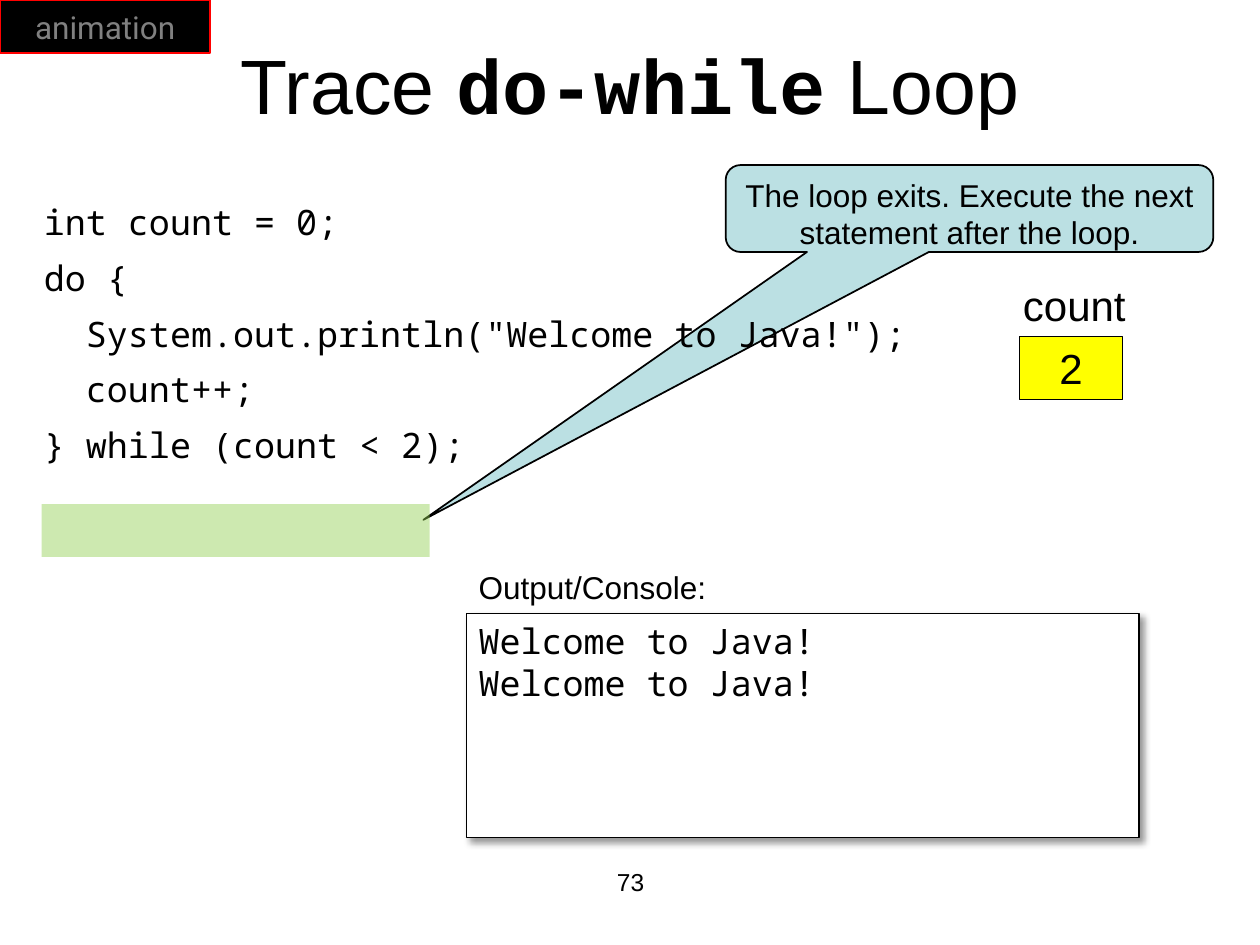
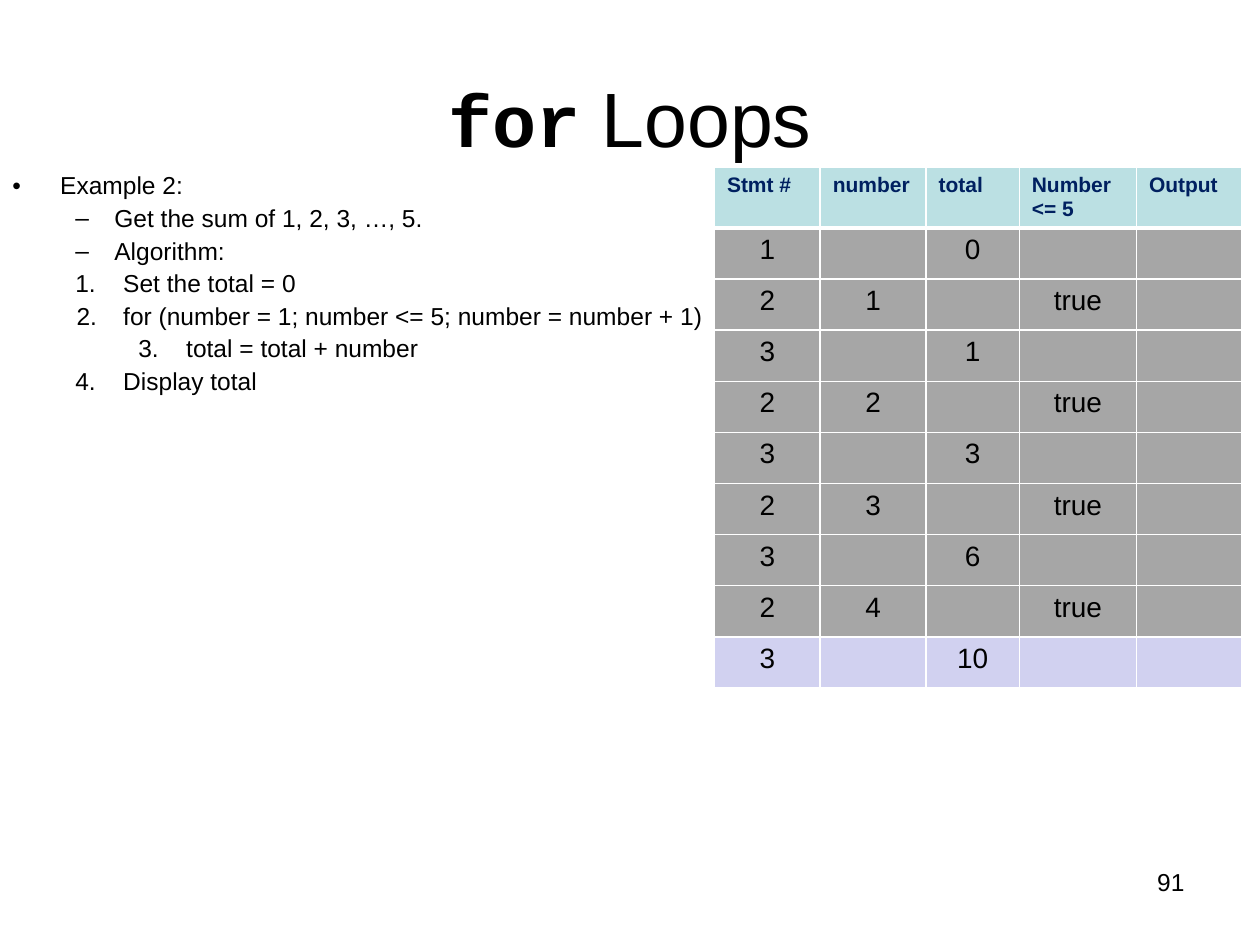
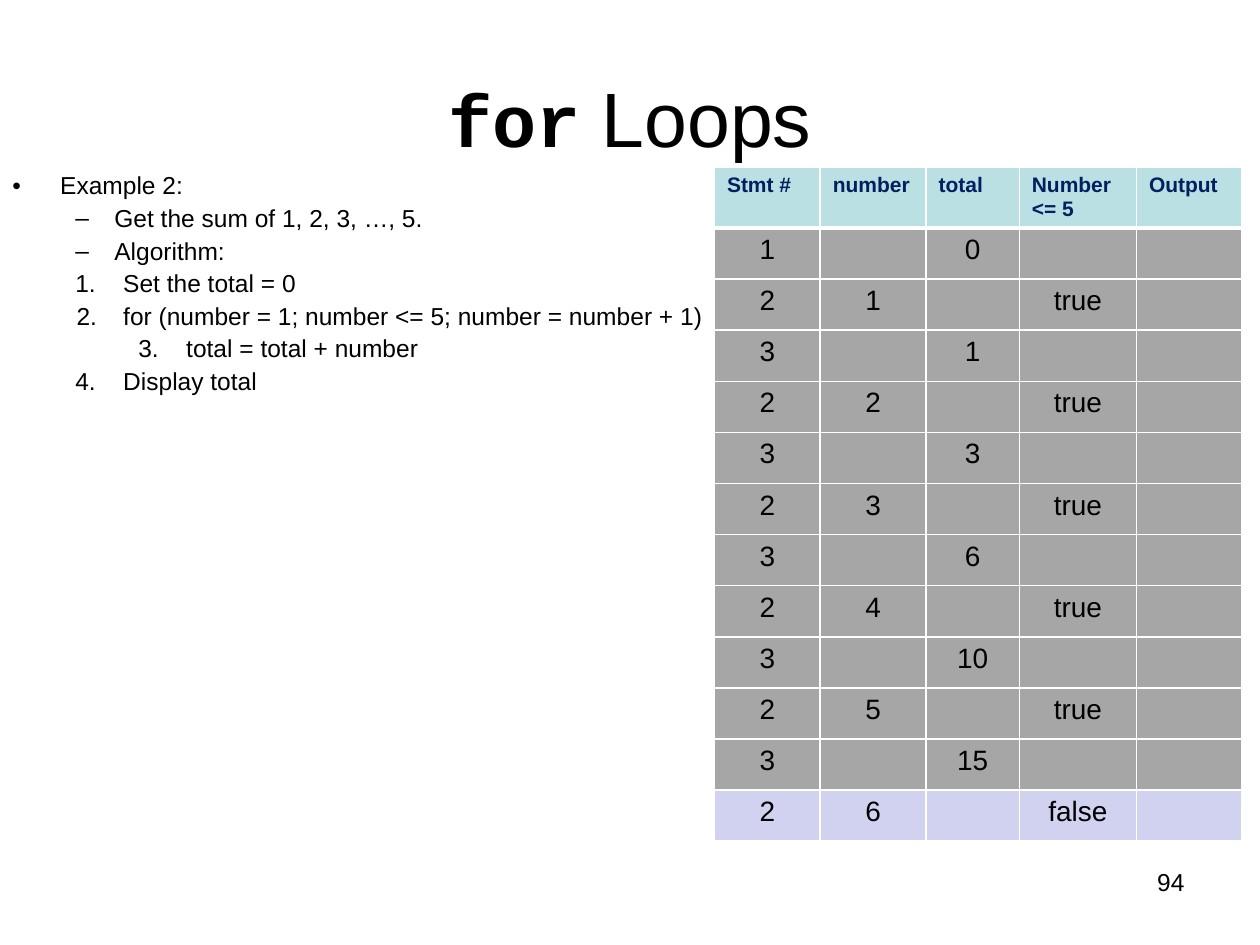
from lxml import etree
from pptx import Presentation
from pptx.dml.color import RGBColor
from pptx.enum.shapes import MSO_SHAPE
from pptx.enum.text import MSO_ANCHOR, MSO_AUTO_SIZE, PP_ALIGN
from pptx.oxml.ns import qn
from pptx.util import Emu, Pt

RECTANGLE = MSO_SHAPE.RECTANGLE
CALLOUT = MSO_SHAPE.ROUNDED_RECTANGULAR_CALLOUT
LEFT, CENTER, RIGHT = PP_ALIGN.LEFT, PP_ALIGN.CENTER, PP_ALIGN.RIGHT
TOP, MIDDLE = MSO_ANCHOR.TOP, MSO_ANCHOR.MIDDLE
NO_FIT = MSO_AUTO_SIZE.NONE

EMU_PER_PX = 9144  # 100 px to the inch

COLORS = {
    "black": "000000", "white": "FFFFFF", "red": "FF0000", "gray": "808080",
    "yellow": "FFFF00", "green": "92D050", "teal": "BBE0E3", "navy": "002060",
    "done": "A6A6A6", "current": "D1D1F0",
}

FONTS = {
    "title": {"name": "Arial", "size": Pt(44), "bold": False},
    "title code": {"name": "Courier New", "size": Pt(44), "bold": True},
    "keyword": {"name": "Courier New", "size": Pt(42), "bold": True},
    "label": {"name": "Arial", "size": Pt(24)},
    "note": {"name": "Arial", "size": Pt(18)},
    "badge": {"name": "Roboto", "size": Pt(18)},
    "code": {"name": "Noto Sans Mono", "size": Pt(20)},
    "body": {"name": "Arial", "size": Pt(14)},
    "header": {"name": "Arial", "size": Pt(12), "bold": True},
    "cell": {"name": "Arial", "size": Pt(16), "bold": False},
}


def px(length):
    return Emu(length * EMU_PER_PX)


def rgb(color):
    return RGBColor.from_string(COLORS[color])


def assign(target, values):
    for name, value in values.items():
        setattr(target, name, value)


def add_node(parent, tag, **attributes):
    node = etree.SubElement(parent, qn(tag))
    for name, value in attributes.items():
        node.set(name, str(value))
    return node


class Deck:
    """Holds the style and the current slide."""

    def __init__(self):
        self.presentation = Presentation()
        assign(self.presentation, {"slide_width": px(1000), "slide_height": px(750)})
        self.layout = self.presentation.slide_layouts[5]
        self.page = None

    def start(self, spans, place):
        """Adds a page with its title made of (text, font) spans."""
        self.page = self.presentation.slides.add_slide(self.layout)
        title = self.page.shapes.title
        assign(title, dict(zip(("left", "top", "width", "height"), map(px, place))))
        self.fill_frame(title.text_frame, [spans], align=CENTER, anchor=MIDDLE)

    def group(self):
        return self.page.shapes.add_group_shape().shapes

    def style(self, span, font, color):
        assign(span.font, FONTS[font])
        span.font.color.rgb = rgb(color)

    def fill_frame(self, frame, lines, color="black", align=LEFT, anchor=TOP, wrap=True,
                   spacing=None, gap=0):
        """Puts lines of (text, font) spans into a text frame."""
        assign(frame, {"word_wrap": wrap, "auto_size": NO_FIT, "vertical_anchor": anchor})
        for index, spans in enumerate(lines):
            para = frame.add_paragraph() if index else frame.paragraphs[0]
            assign(para, {"alignment": align, "line_spacing": spacing,
                          "space_before": Pt(gap if index else 0)})
            for text, font in spans:
                span = para.add_run()
                span.text = text
                self.style(span, font, color)

    def text(self, lines, font, place, parent=None, **format_values):
        box = (parent or self.page.shapes).add_textbox(*map(px, place))
        self.fill_frame(box.text_frame, [[(line, font)] for line in lines], **format_values)
        return box

    def box(self, place, fill, line=None, width=1, kind=RECTANGLE, lines=(), font="note",
            parent=None, alpha=None, **format_values):
        box = (parent or self.page.shapes).add_shape(kind, *map(px, place))
        box.shadow.inherit = False
        box.fill.solid()
        box.fill.fore_color.rgb = rgb(fill)
        if alpha:
            color = box._element.spPr.find(".//" + qn("a:srgbClr"))
            add_node(color, "a:alpha", val=alpha * 1000)
        if line:
            box.line.color.rgb = rgb(line)
            box.line.width = Pt(width)
        else:
            box.line.fill.background()
        self.fill_frame(box.text_frame, [[(text, font)] for text in lines], **format_values)
        return box

    def cast_shadow(self, box):
        effects = box._element.spPr.find(qn("a:effectLst"))
        shadow = add_node(effects, "a:outerShdw", blurRad=Pt(4), dist=Pt(3),
                          dir=45 * 60000, rotWithShape=0)
        color = add_node(shadow, "a:srgbClr", val=COLORS["black"])
        add_node(color, "a:alpha", val=40000)

    def bullets(self, items, place):
        """Lists (level, margin, hanging, mark, text); a number as mark starts a count."""
        box = self.text([item[-1] for item in items], "body", place, spacing=0.9, gap=3.5)
        for para, (level, margin, hanging, mark, _) in zip(box.text_frame.paragraphs, items):
            para.level = level
            properties = para._p.get_or_add_pPr()
            properties.set("marL", str(px(margin)))
            properties.set("indent", str(px(-hanging)))
            add_node(properties, "a:buFont", typeface="Arial")
            if isinstance(mark, int):
                add_node(properties, "a:buAutoNum", type="arabicPeriod", startAt=mark)
            else:
                add_node(properties, "a:buChar", char=mark)

    def cell(self, cell, text, font, color, fill, align, borders):
        properties = cell._tc.get_or_add_tcPr()
        for side, width in borders.items():
            edge = add_node(properties, f"a:ln{side}", w=Pt(width))
            add_node(add_node(edge, "a:solidFill"), "a:srgbClr", val=COLORS["white"])
        cell.fill.solid()
        cell.fill.fore_color.rgb = rgb(fill)
        if text:
            para = cell.text_frame.paragraphs[0]
            para.alignment = align
            span = para.add_run()
            span.text = text
            self.style(span, font, color)

    def trace_table(self, header, rows, left, top, widths, header_height, row_height):
        """Draws the trace so far, with its last row marked as the current one."""
        heights = [header_height] + [row_height] * len(rows)
        frame = self.page.shapes.add_table(
            len(heights), len(widths),
            *map(px, (left, top, sum(widths), sum(heights))))
        table = frame.table
        for column, width in zip(table.columns, widths):
            column.width = px(width)
        for index, (row, height, texts) in enumerate(zip(table.rows, heights, [header, *rows])):
            row.height = px(height)
            borders = {"L": 1, "R": 1, "T": 3 if index == 1 else 1, "B": 1 if index else 3}
            if index == 0:
                look = ("header", "navy", "teal", LEFT)
            else:
                look = ("cell", "black", "current" if index == len(rows) else "done", CENTER)
            for cell, text in zip(row.cells, texts):
                self.cell(cell, text, *look, borders)

    def number(self, value, place, align):
        self.text([str(value)], "body", place, align=align)


CODE = [
    "int count = 0;",
    "do {",
    '  System.out.println("Welcome to Java!");',
    "  count++;",
    "} while (count < 2);",
]

ALGORITHM = [
    (0, 38, 38, "•", "Example 2:"),
    (1, 81, 31, "–", "Get the sum of 1, 2, 3, …, 5."),
    (1, 81, 31, "–", "Algorithm:"),
    (1, 88, 38, 1, "Set the total = 0"),
    (2, 88, 37, 2, "for (number = 1; number <= 5; number = number + 1)"),
    (2, 138, 38, 2, "total = total + number"),
    (1, 88, 38, 4, "Display total"),
]

TRACE_HEADER = ["Stmt #", "number", "total", "Number <= 5", "Output"]


def sum_trace():
    """Lists each statement run while adding 1 to 5."""
    total = 0
    rows = [["1", "", "0", "", ""]]
    for number in range(1, 6):
        total += number
        rows.append(["2", str(number), "", "true", ""])
        rows.append(["3", "", str(total), "", ""])
    rows.append(["2", "6", "", "false", ""])
    return rows


def do_while_page(deck):
    deck.start([("Trace ", "title"), ("do-while", "title code"), (" Loop", "title")],
               (75, 25, 850, 83))
    deck.number(73, (342, 683, 317, 52), CENTER)

    # Callout, highlighted statement and badge
    callout = deck.box((576, 131, 387, 69), "teal", "black", kind=CALLOUT, align=CENTER,
                       lines=["The loop exits. Execute the next statement after the loop."])
    for index, value in enumerate((-1.12, 3.58, 0.17)):
        callout.adjustments[index] = value
    deck.box((33, 400, 308, 42), "green", alpha=45)
    deck.box((0, 0, 167, 42), "black", "red", lines=["animation"], font="badge",
             color="gray", align=CENTER, anchor=MIDDLE, wrap=False)

    # Variable
    variable = deck.group()
    deck.text(["count"], "label", (802, 217, 103, 50), variable, wrap=False)
    deck.box((809, 267, 82, 50), "yellow", "black", 0.75, lines=["2"], font="label",
             parent=variable, align=CENTER)

    # Console
    console = deck.group()
    screen = deck.box((370, 487, 534, 178), "white", "black", 0.75,
                      lines=["Welcome to Java!"] * 2, font="code", parent=console)
    deck.cast_shadow(screen)
    deck.text(["Output/Console:"], "note", (370, 446, 202, 40), console, wrap=False)

    # Code
    deck.text(CODE, "code", (25, 158, 725, 276), spacing=0.9, gap=10.3)


def for_page(deck, number, rows):
    deck.start([("for", "keyword"), (" Loops", "title")], (50, 30, 900, 125))
    deck.bullets(ALGORITHM, (0, 133, 620, 215))
    deck.number(number, (717, 683, 233, 52), RIGHT)
    deck.trace_table(TRACE_HEADER, rows, 567, 133, [84, 84, 74, 93, 84], 48, 40)


def main():
    deck = Deck()
    do_while_page(deck)
    trace = sum_trace()
    for number, steps in ((91, 9), (94, 12)):
        for_page(deck, number, trace[:steps])
    deck.presentation.save("out.pptx")


if __name__ == "__main__":
    main()
